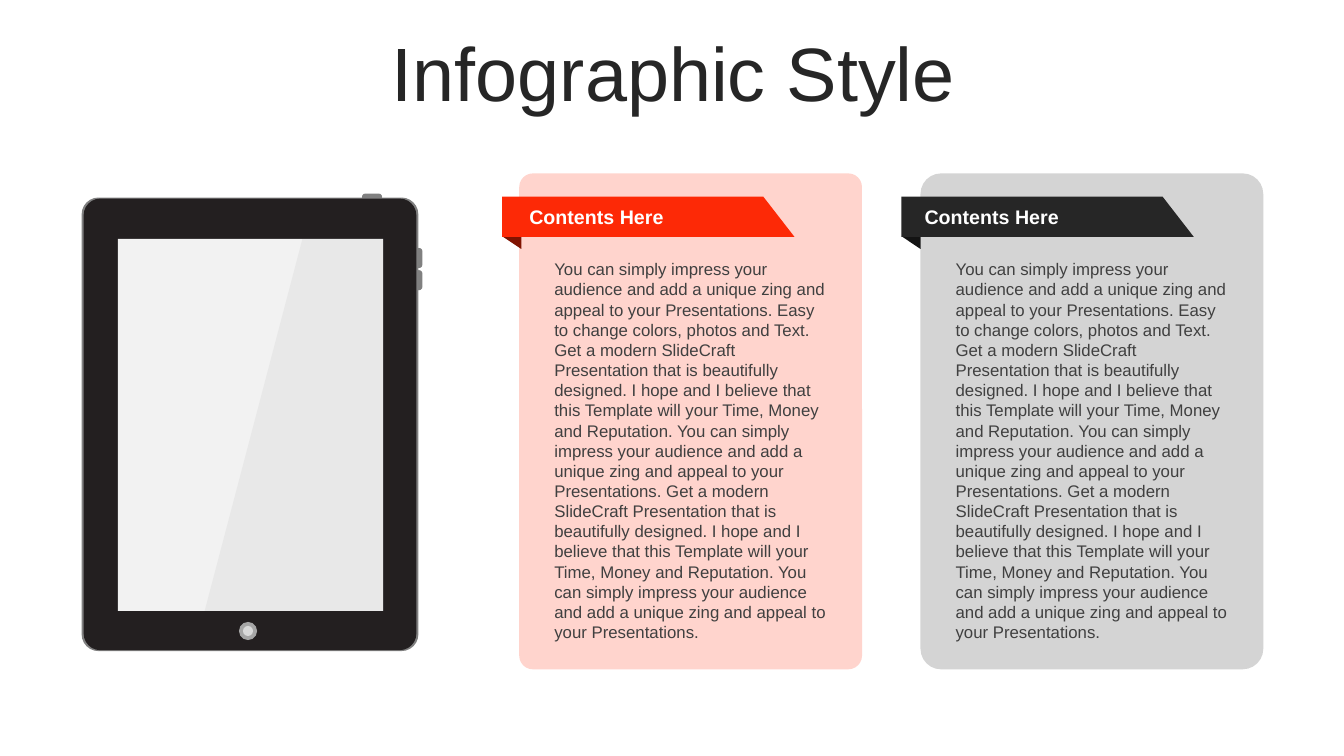
"""Build the tablet infographic slide with two ribboned text panels."""
from lxml import etree
from pptx import Presentation
from pptx.dml.color import RGBColor
from pptx.enum.shapes import MSO_SHAPE as Shape
from pptx.enum.text import MSO_ANCHOR as Anchor, PP_ALIGN as Align
from pptx.oxml.ns import qn
from pptx.util import Inches, Pt

COLORS = {
    "ink": "262626", "body": "404040", "white": "FFFFFF",
    "edge": "808080", "case": "231F20", "screen": "F2F2F2", "glare": "999999",
    "home_ring": "A6A6A6", "home_dot": "D9D9D9",
    "red": "FD2906", "red_fold": "801301", "red_panel": "FFD4CD",
    "dark_fold": "131313", "dark_panel": "D4D4D4",
}
IMPRESS = ("You can simply impress your audience and add a unique zing "
           "and appeal to your Presentations.")
EASY = "Easy to change colors, photos and Text."
MODERN = ("Get a modern SlideCraft Presentation that is beautifully designed. "
          "I hope and I believe that this Template will your Time, Money and Reputation.")
PANEL_TEXT = " ".join([IMPRESS, EASY, MODERN, IMPRESS, MODERN, IMPRESS])


class Deck:
    """Hold the style and the current slide."""

    font = "Arial"

    def __init__(self, width, height):
        self.deck = Presentation()
        self.deck.slide_width, self.deck.slide_height = Inches(width), Inches(height)
        self.slide = self.deck.slides.add_slide(self.deck.slide_layouts[6])

    def paint(self, part, color, opacity=None):
        part.shadow.inherit = False
        part.fill.solid()
        part.fill.fore_color.rgb = RGBColor.from_string(COLORS[color])
        part.line.fill.background()
        if opacity is not None:
            tint = part.fill._xPr.find(".//" + qn("a:srgbClr"))
            etree.SubElement(tint, qn("a:alpha")).set("val", str(opacity * 1000))

    def shape(self, preset, box, color, radius=None):
        part = self.slide.shapes.add_shape(preset, *map(Inches, box))
        if radius is not None:
            part.adjustments[0] = radius
        self.paint(part, color)

    def outline(self, points, color, opacity=None):
        start, *rest = [(Inches(x), Inches(y)) for x, y in points]
        builder = self.slide.shapes.build_freeform(*start)
        builder.add_line_segments(rest, close=True)
        self.paint(builder.convert_to_shape(), color, opacity)

    def text(self, box, words, color, size, frame=None, paragraph=None, bold=False):
        text_frame = self.slide.shapes.add_textbox(*map(Inches, box)).text_frame
        line = text_frame.paragraphs[0]
        line.text = words
        line.font.color.rgb = RGBColor.from_string(COLORS[color])
        formats = (
            (text_frame, {"word_wrap": True, **(frame or {})}),
            (line, paragraph or {}),
            (line.font, {"name": self.font, "size": Pt(size), "bold": bold}),
        )
        for target, values in formats:
            for name, value in values.items():
                setattr(target, name, value)

    def tablet(self):
        rounded = Shape.ROUNDED_RECTANGLE
        self.shape(rounded, (3.59, 1.92, 0.2, 0.07), "edge", 0.5)
        for volume_top in (2.46, 2.68):
            self.shape(rounded, (4.12, volume_top, 0.07, 0.2), "edge", 0.5)
        self.shape(rounded, (0.81, 1.96, 3.34, 4.5), "edge", 0.05)
        self.shape(rounded, (0.83, 1.97, 3.3, 4.48), "case", 0.05)
        self.shape(Shape.RECTANGLE, (1.17, 2.37, 2.63, 3.69), "screen")
        self.outline([(3, 2.37), (3.8, 2.37), (3.8, 6.06), (2.03, 6.06)], "glare", 10)
        self.shape(Shape.OVAL, (2.37, 6.17, 0.18, 0.18), "home_ring")
        self.shape(Shape.OVAL, (2.41, 6.21, 0.1, 0.1), "home_dot")

    def panel(self, left, radius, ribbon, label, color, fold, background):
        self.shape(Shape.ROUNDED_RECTANGLE, (left, 1.72, 3.4, 4.92), background, radius)
        self.outline([(ribbon + 0.19, 1.97), (ribbon + 0.01, 1.97),
                      (ribbon + 0.01, 2.35), (ribbon + 0.19, 2.47)], fold)
        self.outline([(ribbon, 1.95), (ribbon + 2.59, 1.95),
                      (ribbon + 2.9, 2.35), (ribbon, 2.35)], color)
        self.text((label, 1.99, 2.35, 0.31), "Contents Here", "white", 14,
                  {"vertical_anchor": Anchor.MIDDLE, "margin_left": Inches(0.12)}, bold=True)
        self.text((left + 0.25, 2.52, 2.9, 3.94), PANEL_TEXT, "body", 12)


def main():
    deck = Deck(13.33, 7.5)
    deck.text((0.35, 0.37, 12.66, 0.79), "Infographic Style", "ink", 54,
              {"vertical_anchor": Anchor.MIDDLE},
              {"alignment": Align.CENTER, "line_spacing": 0.9})
    deck.tablet()
    deck.panel(5.15, 0.04, 4.98, 5.13, "red", "red_fold", "red_panel")
    deck.panel(9.13, 0.06, 8.94, 9.05, "ink", "dark_fold", "dark_panel")
    deck.deck.save("out.pptx")


if __name__ == "__main__":
    main()
